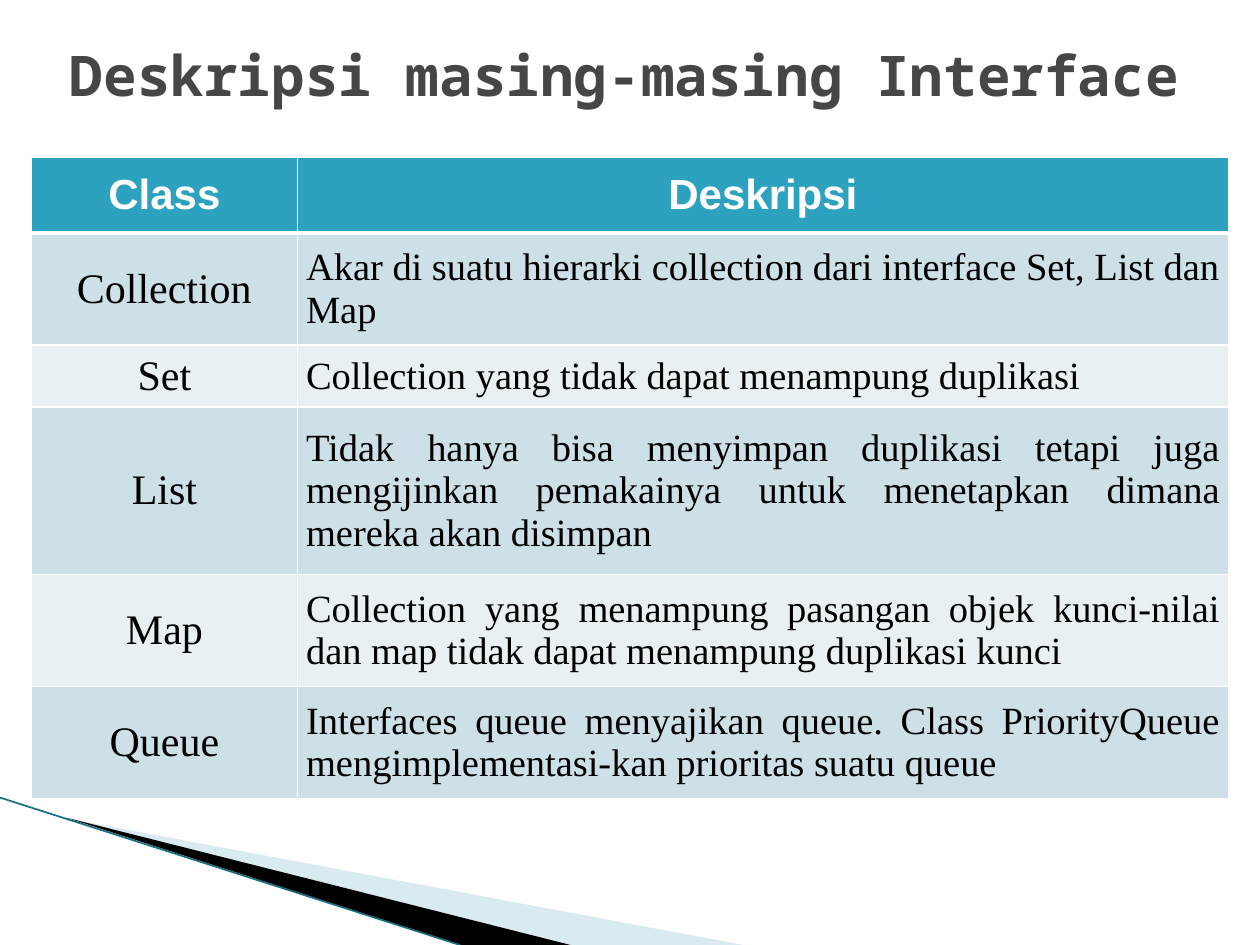
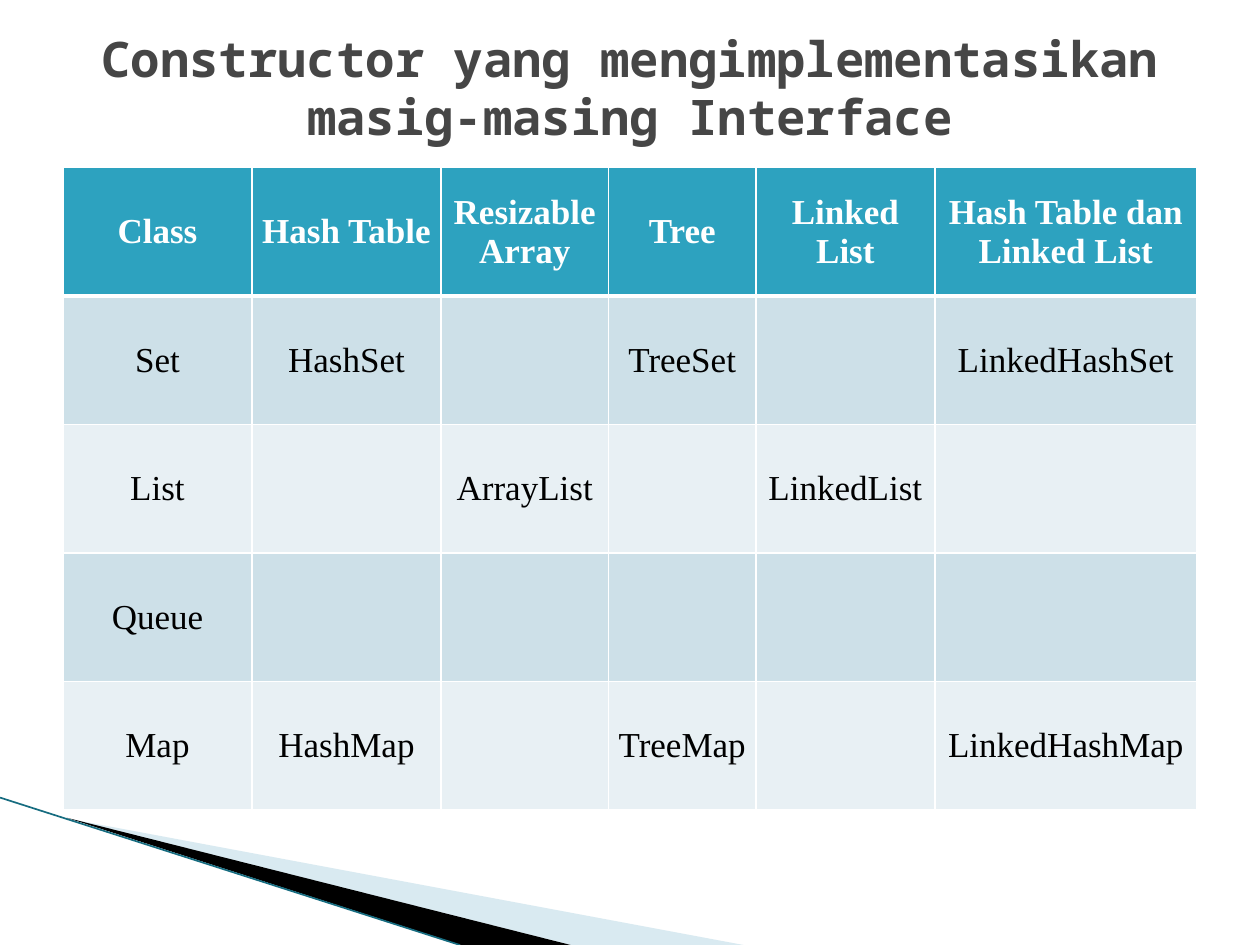
from dataclasses import dataclass

from lxml import etree
from pptx import Presentation
from pptx.dml.color import RGBColor
from pptx.enum.shapes import MSO_CONNECTOR
from pptx.enum.text import MSO_ANCHOR, PP_ALIGN
from pptx.oxml import parse_xml
from pptx.oxml.ns import nsdecls, qn
from pptx.util import Inches, Pt

WHITE = RGBColor(0xFF, 0xFF, 0xFF)
BLACK = RGBColor(0x00, 0x00, 0x00)
TITLE_GREY = RGBColor(0x46, 0x46, 0x46)
HEADER_BLUE = RGBColor(0x2D, 0xA2, 0xBF)
BAND_DARK = RGBColor(0xCD, 0xE0, 0xE8)
BAND_LIGHT = RGBColor(0xE8, 0xF0, 0xF4)
WEDGE_BLUE = RGBColor(0xA0, 0xCB, 0xDC)
EDGE_TEAL = RGBColor(0x16, 0x6C, 0x80)

TITLE_FONT = "Noto Sans Mono"
BODY_FONT = "Times New Roman"


@dataclass(frozen=True)
class Wedge:
    points: tuple[tuple[float, float], ...]
    color: RGBColor
    opacity: int = 100


@dataclass(frozen=True)
class ColumnStyle:
    width: float
    size: int
    align: PP_ALIGN = PP_ALIGN.CENTER


@dataclass(frozen=True)
class TableStyle:
    left: float
    top: float
    columns: tuple[ColumnStyle, ...]
    row_heights: tuple[float, ...]
    header_size: int
    header_font: str = BODY_FONT


@dataclass(frozen=True)
class TableSlide:
    title: str
    title_size: int
    title_box: tuple[float, float, float, float]
    style: TableStyle
    rows: tuple[tuple[str, ...], ...]


WEDGES = (
    Wedge(((0.55, 6.5), (5.9, 7.5), (4.53, 7.5)), WEDGE_BLUE, 40),
    Wedge(((0.53, 6.49), (4.53, 7.5), (3.66, 7.5)), BLACK),
)

INTERFACES = TableSlide(
    "Deskripsi masing-masing Interface", 32, (0.25, 0.25, 9.42, 0.67),
    TableStyle(
        0.25, 1.25,
        (ColumnStyle(2.11, 24), ColumnStyle(7.39, 22, PP_ALIGN.JUSTIFY)),
        (0.6, 0.89, 0.49, 1.33, 0.89, 0.89), 24, "Arial",
    ),
    (
        ("Class", "Deskripsi"),
        ("Collection", "Akar di suatu hierarki collection dari interface Set, List dan Map"),
        ("Set", "Collection yang tidak dapat menampung duplikasi"),
        ("List", "Tidak hanya bisa menyimpan duplikasi tetapi juga mengijinkan "
                 "pemakainya untuk menetapkan dimana mereka akan disimpan"),
        ("Map", "Collection yang menampung pasangan objek kunci-nilai dan map "
                "tidak dapat menampung duplikasi kunci"),
        ("Queue", "Interfaces queue menyajikan queue. Class PriorityQueue "
                  "mengimplementasi-kan prioritas suatu queue"),
    ),
)

CONSTRUCTORS = TableSlide(
    "Constructor yang mengimplementasikan masig-masing Interface", 28, (0.5, 0.3, 9, 0.78),
    TableStyle(
        0.5, 1.33,
        tuple(ColumnStyle(width, 20) for width in (1.5, 1.5, 1.33, 1.17, 1.42, 2.08)),
        (1.02,) * 5, 20,
    ),
    (
        ("Class", "Hash Table", "Resizable Array", "Tree", "Linked List",
         "Hash Table dan\nLinked List"),
        ("Set", "HashSet", "", "TreeSet", "", "LinkedHashSet"),
        ("List", "", "ArrayList", "", "LinkedList", ""),
        ("Queue", "", "", "", "", ""),
        ("Map", "HashMap", "", "TreeMap", "", "LinkedHashMap"),
    ),
)


def style_text(frame, font_name: str, size: int, color: RGBColor,
               bold: bool, align: PP_ALIGN) -> None:
    for paragraph in frame.paragraphs:
        paragraph.alignment = align
        font = paragraph.font
        font.name, font.size, font.bold = font_name, Pt(size), bold
        font.color.rgb = color


def draw_wedge(page, wedge: Wedge) -> None:
    points = [(Inches(x), Inches(y)) for x, y in wedge.points]
    builder = page.shapes.build_freeform(*points[0])
    builder.add_line_segments(points[1:], close=True)
    shape = builder.convert_to_shape()
    shape.shadow.inherit = False
    shape.line.fill.background()
    shape.fill.solid()
    shape.fill.fore_color.rgb = wedge.color
    if wedge.opacity < 100:
        color = shape.fill._xPr.find(qn("a:solidFill"))[0]
        etree.SubElement(color, qn("a:alpha")).set("val", str(wedge.opacity * 1000))


def draw_corner(page) -> None:
    """Draw the wedges and thin edge at the lower left."""
    for wedge in WEDGES:
        draw_wedge(page, wedge)
    edge = page.shapes.add_connector(
        MSO_CONNECTOR.STRAIGHT, Inches(0), Inches(6.33), Inches(3.65), Inches(7.5))
    edge.line.color.rgb = EDGE_TEAL
    edge.line.width = Pt(0.95)
    etree.SubElement(edge._element.spPr, qn("a:effectLst"))


def set_borders(cell, top: float, bottom: float) -> None:
    properties = cell._tc.get_or_add_tcPr()
    sides = (("lnL", 1), ("lnR", 1), ("lnT", top), ("lnB", bottom))
    for position, (side, width) in enumerate(sides):
        properties.insert(position, parse_xml(
            f'<a:{side} {nsdecls("a")} w="{Pt(width)}"><a:solidFill>'
            f'<a:srgbClr val="{WHITE}"/></a:solidFill></a:{side}>'))


def draw_table(page, style: TableStyle, rows: tuple[tuple[str, ...], ...]) -> None:
    width = sum(column.width for column in style.columns)
    height = sum(style.row_heights)
    table = page.shapes.add_table(
        len(rows), len(style.columns), Inches(style.left), Inches(style.top),
        Inches(width), Inches(height)).table
    for column, column_style in zip(table.columns, style.columns):
        column.width = Inches(column_style.width)
    for row, row_height in zip(table.rows, style.row_heights):
        row.height = Inches(row_height)

    for row_index, texts in enumerate(rows):
        header = row_index == 0
        band = HEADER_BLUE if header else (BAND_LIGHT, BAND_DARK)[row_index % 2]
        for column_index, text in enumerate(texts):
            column_style = style.columns[column_index]
            cell = table.cell(row_index, column_index)
            cell.text = text
            cell.vertical_anchor = MSO_ANCHOR.MIDDLE
            cell.margin_left = cell.margin_right = Inches(0.07)
            cell.margin_top = cell.margin_bottom = Inches(0)
            cell.fill.solid()
            cell.fill.fore_color.rgb = band
            # The rule under the header is thicker than the others
            set_borders(cell, 3 if row_index == 1 else 1, 3 if header else 1)
            if header:
                style_text(cell.text_frame, style.header_font, style.header_size,
                           WHITE, True, PP_ALIGN.CENTER)
            else:
                style_text(cell.text_frame, BODY_FONT, column_style.size,
                           BLACK, False, column_style.align)


def draw_title(page, content: TableSlide) -> None:
    box = page.shapes.add_textbox(*map(Inches, content.title_box))
    frame = box.text_frame
    frame.word_wrap = True
    frame.vertical_anchor = MSO_ANCHOR.MIDDLE
    frame.text = content.title
    style_text(frame, TITLE_FONT, content.title_size, TITLE_GREY, True, PP_ALIGN.CENTER)


def main() -> None:
    deck = Presentation()
    deck.slide_width, deck.slide_height = Inches(10), Inches(7.5)
    for content in (INTERFACES, CONSTRUCTORS):
        page = deck.slides.add_slide(deck.slide_layouts[6])
        draw_corner(page)
        draw_table(page, content.style, content.rows)
        draw_title(page, content)
    deck.save("out.pptx")


if __name__ == "__main__":
    main()
